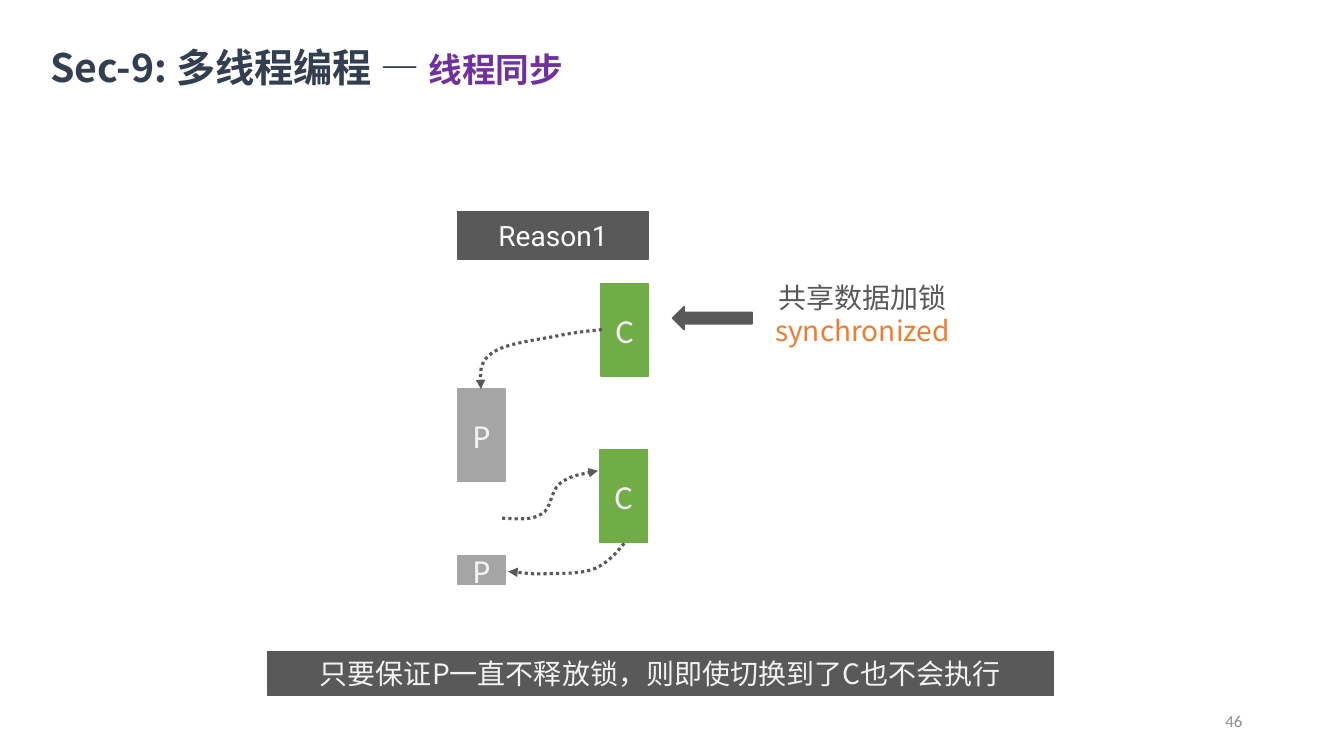
from dataclasses import dataclass, field
from typing import Any

from lxml import etree
from pptx import Presentation
from pptx.dml.color import RGBColor
from pptx.enum.dml import MSO_LINE_DASH_STYLE as Dash
from pptx.enum.shapes import MSO_AUTO_SHAPE_TYPE as ShapeType
from pptx.enum.text import MSO_VERTICAL_ANCHOR as Anchor, PP_PARAGRAPH_ALIGNMENT as Align
from pptx.oxml.ns import qn
from pptx.util import Inches, Pt

DARK_GRAY = RGBColor(0x59, 0x59, 0x59)
MID_GRAY = RGBColor(0xA5, 0xA5, 0xA5)
PAGE_GRAY = RGBColor(0x8C, 0x8C, 0x8C)
OFF_WHITE = RGBColor(0xF2, 0xF2, 0xF2)
WHITE = RGBColor(0xFF, 0xFF, 0xFF)
GREEN = RGBColor(0x70, 0xAD, 0x47)
ORANGE = RGBColor(0xED, 0x7D, 0x31)
NAVY = RGBColor(0x33, 0x3F, 0x50)
PURPLE = RGBColor(0x70, 0x30, 0xA0)

CJK, LATIN, LABEL = "Noto Sans CJK SC", "Calibri", "Roboto"
DEFAULT_MARGINS = (0.1, 0.05, 0.1, 0.05)
Point = tuple[float, float]


@dataclass
class Run:
    text: str
    size: int
    font: str
    color: RGBColor
    bold: bool = False


@dataclass
class Box:
    left: float
    top: float
    width: float
    height: float
    paragraphs: list[list[Run]] = field(default_factory=list)
    fill: RGBColor | None = None
    line_width: float = 1
    kind: Any = ShapeType.RECTANGLE
    rotation: int = 0
    align: Any = Align.CENTER
    anchor: Any = Anchor.MIDDLE
    wrap: bool = True
    margins: tuple[float, float, float, float] = DEFAULT_MARGINS


def thread_block(left: float, top: float, name: str, height: float = 0.92) -> Box:
    """Describe a time slice of the producer (P) or the consumer (C)."""
    fill = GREEN if name == "C" else MID_GRAY
    return Box(left, top, 0.47, height, [[Run(name, 24, LATIN, OFF_WHITE)]], fill)


BOXES = [
    Box(9.42, 6.95, 3, 0.4, [[Run("46", 12, LATIN, PAGE_GRAY)]], align=Align.RIGHT),
    Box(4.54, 2.1, 1.89, 0.47, [[Run("Reason1", 20, LABEL, WHITE)]], DARK_GRAY,
        line_width=0.75, wrap=False),
    thread_block(4.54, 3.86, "P"),
    thread_block(5.95, 4.46, "C"),
    thread_block(4.54, 5.51, "P", height=0.29),
    thread_block(5.96, 2.81, "C"),
    Box(7.53, 2.73, 2.05, 0.77,
        [[Run("共享数据加锁", 20, CJK, DARK_GRAY)], [Run("synchronized", 20, CJK, ORANGE)]],
        anchor=Anchor.TOP),
    Box(6.67, 3.04, 0.79, 0.23, fill=DARK_GRAY, kind=ShapeType.RIGHT_ARROW, rotation=180),
    Box(2.65, 6.46, 7.8, 0.44,
        [[Run("只要保证P一直不释放锁，则即使切换到了C也不会执行", 20, CJK, OFF_WHITE)]],
        DARK_GRAY, line_width=0.75, anchor=Anchor.TOP),
    Box(0.5, 0.42, 6.48, 0.48,
        [[Run("Sec-9: 多线程编程 — ", 28, CJK, NAVY, True),
          Run("线程同步", 24, CJK, PURPLE, True)]],
        align=Align.LEFT, anchor=Anchor.TOP, margins=(0, 0.01, 0, 0)),
]

# Each switch is a start point followed by triples: two control points and an end.
SWITCHES: list[list[Point]] = [
    [(4.98, 5.14), (5.13, 5.15), (5.28, 5.16), (5.37, 5.1), (5.47, 5.05),
     (5.46, 4.87), (5.55, 4.8), (5.65, 4.72), (5.79, 4.7), (5.93, 4.67)],
    [(6.19, 5.39), (6.11, 5.49), (6.02, 5.59), (5.9, 5.64), (5.78, 5.69),
     (5.59, 5.69), (5.45, 5.69), (5.31, 5.7), (5.17, 5.68), (5.04, 5.67)],
    [(5.97, 3.27), (5.87, 3.28), (5.76, 3.29), (5.59, 3.32), (5.41, 3.36),
     (5.03, 3.4), (4.9, 3.49), (4.76, 3.58), (4.76, 3.72), (4.77, 3.86)],
]


def add_run(paragraph: Any, item: Run) -> None:
    run = paragraph.add_run()
    run.text = item.text
    formats = {"name": item.font, "size": Pt(item.size), "bold": item.bold}
    for name, value in formats.items():
        setattr(run.font, name, value)
    run.font.color.rgb = item.color
    if item.font == CJK:
        etree.SubElement(run.font._element, qn("a:ea"), typeface=CJK)


def write_text(frame: Any, box: Box) -> None:
    left, top, right, bottom = map(Inches, box.margins)
    formats = {"word_wrap": box.wrap, "vertical_anchor": box.anchor, "margin_left": left,
               "margin_top": top, "margin_right": right, "margin_bottom": bottom}
    for name, value in formats.items():
        setattr(frame, name, value)
    for index, runs in enumerate(box.paragraphs):
        paragraph = frame.add_paragraph() if index else frame.paragraphs[0]
        paragraph.alignment = box.align
        for item in runs:
            add_run(paragraph, item)


def add_box(shapes: Any, box: Box) -> None:
    bounds = [Inches(value) for value in (box.left, box.top, box.width, box.height)]
    if box.fill is None:
        shape = shapes.add_textbox(*bounds)
    else:
        shape = shapes.add_shape(box.kind, *bounds)
        shape.shadow.inherit = False
        shape.rotation = box.rotation
        shape.fill.solid()
        shape.fill.fore_color.rgb = box.fill
        shape.line.color.rgb = box.fill
        shape.line.width = Pt(box.line_width)
    write_text(shape.text_frame, box)


def add_switch(shapes: Any, points: list[Point]) -> None:
    """Draw a dotted curved arrow through the Bézier points."""
    start, *rest = [(Inches(x), Inches(y)) for x, y in points]
    builder = shapes.build_freeform(*start)
    builder.add_line_segments(rest, close=False)
    shape = builder.convert_to_shape()
    segments = list(shape._element.iter(qn("a:lnTo")))
    for first in range(0, len(segments), 3):
        curve = etree.SubElement(segments[first].getparent(), qn("a:cubicBezTo"))
        for segment in segments[first:first + 3]:
            curve.append(segment[0])
            segment.getparent().remove(segment)
    shape.shadow.inherit = False
    shape.fill.background()
    shape.line.color.rgb = DARK_GRAY
    shape.line.width = Pt(2.25)
    shape.line.dash_style = Dash.ROUND_DOT
    etree.SubElement(shape.line._get_or_add_ln(), qn("a:tailEnd"), type="triangle")


def main() -> None:
    presentation = Presentation()
    presentation.slide_width = Inches(13.33)
    presentation.slide_height = Inches(7.5)
    slide = presentation.slides.add_slide(presentation.slide_layouts[6])
    for box in BOXES:
        add_box(slide.shapes, box)
    for points in SWITCHES:
        add_switch(slide.shapes, points)
    presentation.save("out.pptx")


if __name__ == "__main__":
    main()
